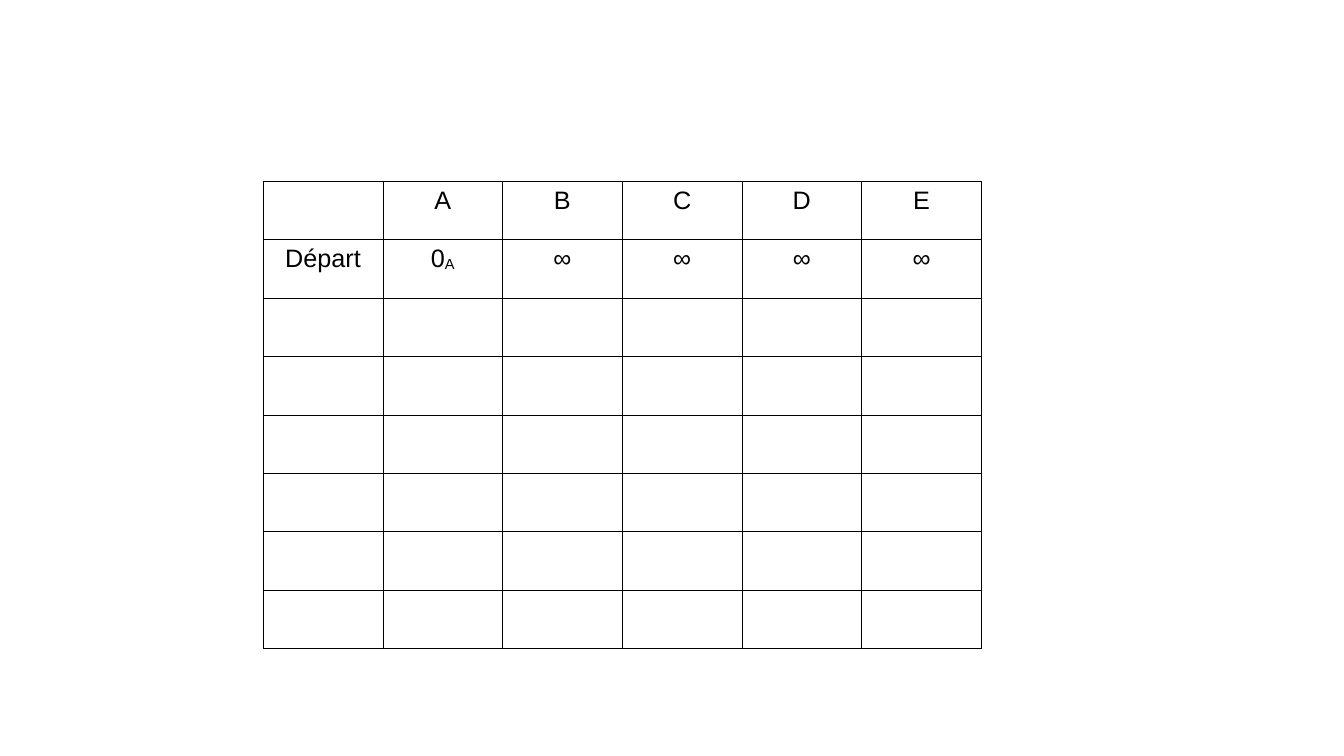
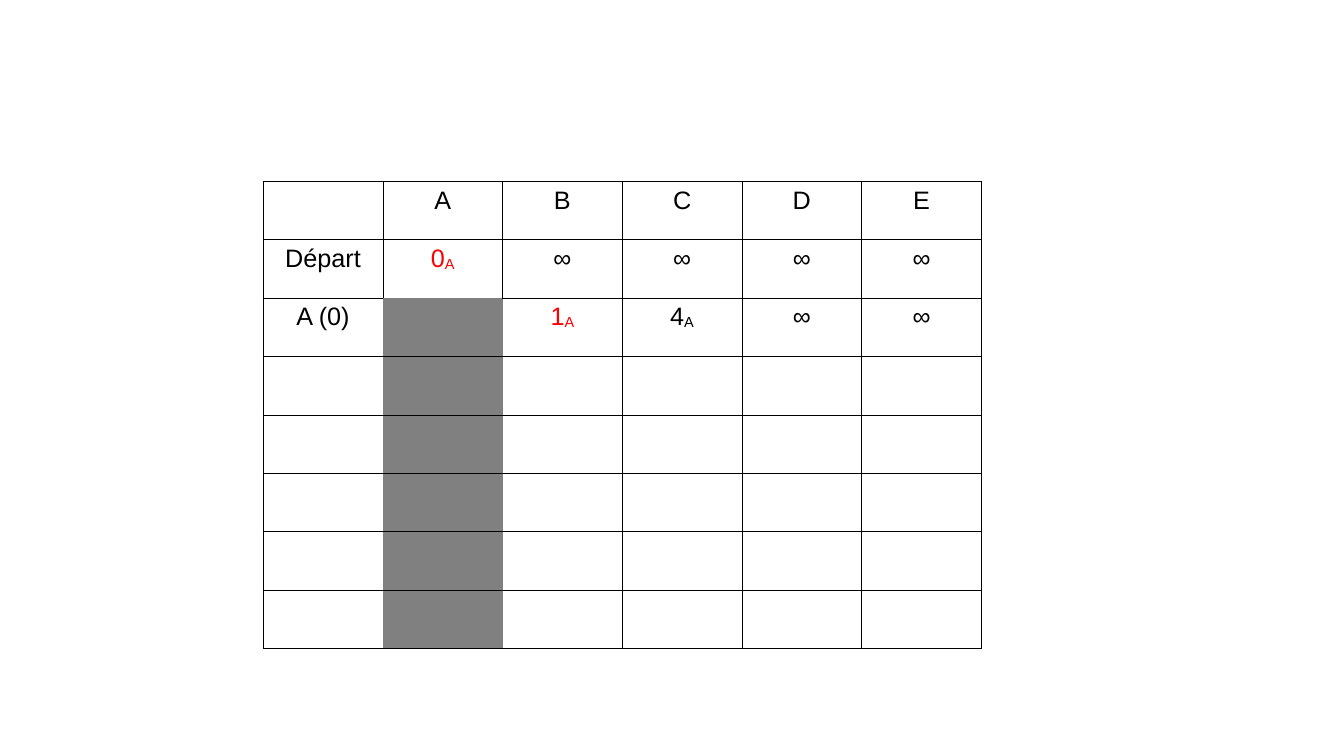
import pptx
import pptx.dml.color
import pptx.enum.text
import pptx.oxml.ns
import pptx.util
from lxml import etree

PX = 6350
SLIDE_W, SLIDE_H = 1920, 1080
LEFT, TOP, WIDTH, HEIGHT = 376, 259, 1026, 668
INSET_X, INSET_Y = 6, 7
ROWS = 8
FONT, TEXT_PT, BORDER_PT = "Arial", 18, 0.57
SUBSCRIPT = "-8000"
COLORS = {"ink": "000000", "chosen": "FF0000", "paper": "FFFFFF", "visited": "808080"}

VERTICES = ["", "A", "B", "C", "D", "E"]
START = ["Départ", ("0", "A"), "∞", "∞", "∞", "∞"]
AFTER_A = ["A (0)", "", ("1", "A"), ("4", "A"), "∞", "∞"]

STEPS = [
    {"lines": [VERTICES, START], "chosen": set(), "visited": set()},
    {
        "lines": [VERTICES, START, AFTER_A],
        "chosen": {(1, 1), (2, 2)},
        "visited": {(row, 1) for row in range(2, ROWS)},
    },
]
SIDES = {"lnL": (0, -1), "lnR": (0, 1), "lnT": (-1, 0), "lnB": (1, 0)}


def px(length):
    return pptx.util.Emu(round(length * PX))


def rgb(name):
    return pptx.dml.color.RGBColor.from_string(COLORS[name])


def write(frame, text, subscript="", color="ink", size=TEXT_PT):
    paragraph = frame.paragraphs[0]
    paragraph.alignment = pptx.enum.text.PP_ALIGN.CENTER
    for part, lowered in ((text, False), (subscript, True)):
        if not part:
            continue
        run = paragraph.add_run()
        run.text = part
        run.font.name = FONT
        run.font.size = pptx.util.Pt(size)
        run.font.bold = False
        run.font.color.rgb = rgb(color)
        if lowered:
            run.font._element.set("baseline", SUBSCRIPT)


def draw_border(cell, side, visible):
    qn = pptx.oxml.ns.qn
    properties = cell._tc.get_or_add_tcPr()
    border = etree.SubElement(properties, qn(f"a:{side}"), w=str(pptx.util.Pt(BORDER_PT)))
    if visible:
        fill = etree.SubElement(border, qn("a:solidFill"))
        etree.SubElement(fill, qn("a:srgbClr"), val=COLORS["ink"])
    else:
        etree.SubElement(border, qn("a:noFill"))


def format_cell(cell, position, visited):
    row, column = position
    shaded = position in visited
    cell.margin_left = cell.margin_right = px(INSET_X)
    cell.margin_top = cell.margin_bottom = px(INSET_Y)
    for side, (down, across) in SIDES.items():
        neighbour = (row + down, column + across)
        inside = 0 <= neighbour[0] < ROWS and 0 <= neighbour[1] < len(VERTICES)
        draw_border(cell, side, not inside or shaded == (neighbour in visited))
    cell.fill.solid()
    cell.fill.fore_color.rgb = rgb("visited" if shaded else "paper")


def add_distances(slide, step):
    columns = len(VERTICES)
    distances = slide.shapes.add_table(
        ROWS, columns, px(LEFT), px(TOP), px(WIDTH), px(HEIGHT)
    ).table
    distances.first_row = distances.horz_banding = False
    for column in distances.columns:
        column.width = px(WIDTH / columns)
    for row in distances.rows:
        row.height = px(HEIGHT / ROWS)
    for row in range(ROWS):
        for column in range(columns):
            format_cell(distances.cell(row, column), (row, column), step["visited"])
    for row, line in enumerate(step["lines"]):
        for column, entry in enumerate(line):
            value, origin = entry if isinstance(entry, tuple) else (entry, "")
            color = "chosen" if (row, column) in step["chosen"] else "ink"
            frame = distances.cell(row, column).text_frame
            write(frame, value, subscript=origin, color=color)


def main():
    deck = pptx.Presentation()
    deck.slide_width, deck.slide_height = px(SLIDE_W), px(SLIDE_H)
    background = deck.slide_master.background.fill
    background.solid()
    background.fore_color.rgb = rgb("paper")
    for step in STEPS:
        add_distances(deck.slides.add_slide(deck.slide_layouts[6]), step)
    deck.save("out.pptx")


if __name__ == "__main__":
    main()
